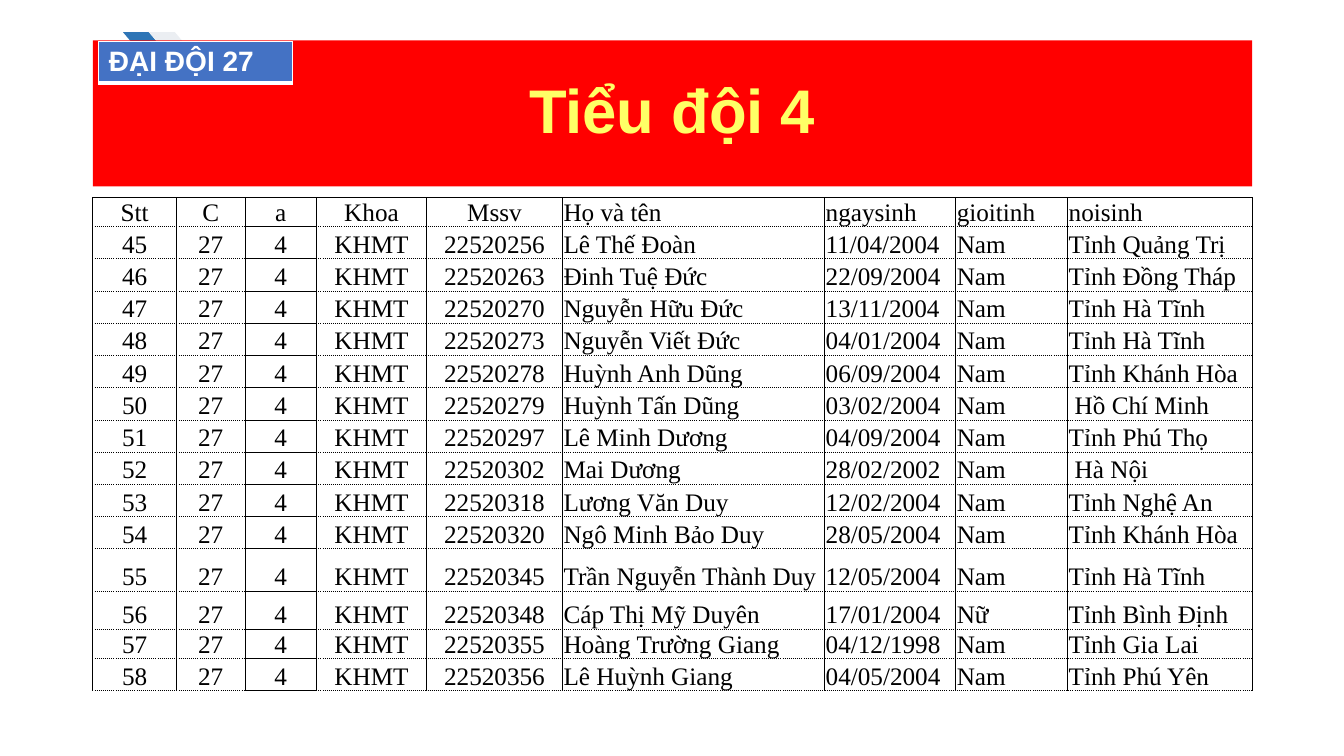
"""Build the roster slide of squad 4, company 27."""
from dataclasses import dataclass

from lxml import etree
from pptx import Presentation
from pptx import util as u
from pptx.dml.color import RGBColor
from pptx.enum import shapes, text
from pptx.oxml import ns
from pptx.slide import Slide
from pptx.table import Table, _Cell
from pptx.text.text import TextFrame

PX = 9144
RED = RGBColor(0xFF, 0x00, 0x00)
YELLOW = RGBColor(0xFF, 0xFF, 0x66)
BLACK = RGBColor(0x00, 0x00, 0x00)
WHITE = RGBColor(0xFF, 0xFF, 0xFF)
LABEL_BLUE = RGBColor(0x44, 0x72, 0xC4)
CHEVRON_BLUE = RGBColor(0x2E, 0x75, 0xB6)
CHEVRON_GRAY = RGBColor(0xEB, 0xEE, 0xF2)
CENTER = text.PP_ALIGN.CENTER
LEFT = text.PP_ALIGN.LEFT


@dataclass(frozen=True)
class Style:
    font: str
    size: int
    color: RGBColor
    bold: bool = False


@dataclass(frozen=True)
class Chevron:
    left: int
    color: RGBColor


@dataclass(frozen=True)
class Column:
    heading: str
    width: int
    align: text.PP_ALIGN


@dataclass(frozen=True)
class Member:
    student_id: str
    name: str
    born: str
    birthplace: str
    gender: str = "Nam"


@dataclass(frozen=True)
class Border:
    side: str
    color: RGBColor
    points: float
    dash: str = "solid"


TITLE_STYLE = Style("Arial", 44, YELLOW, True)
LABEL_STYLE = Style("Arial", 20, WHITE, True)
ROSTER_STYLE = Style("Times New Roman", 18, BLACK)
CHEVRONS = [Chevron(122, CHEVRON_BLUE), Chevron(148, CHEVRON_GRAY)]
SQUAD_COLUMN = 2
FIRST_NUMBER = 45
COLUMNS = [
    Column("Stt", 83, CENTER),
    Column("C", 68, CENTER),
    Column("a", 71, CENTER),
    Column("Khoa", 109, CENTER),
    Column("Mssv", 135, CENTER),
    Column("Họ và tên", 260, LEFT),
    Column("ngaysinh", 130, LEFT),
    Column("gioitinh", 111, LEFT),
    Column("noisinh", 183, LEFT),
]
ROW_HEIGHTS = [28] + [32] * 10 + [42, 38, 29, 32]
MEMBERS = [
    Member("22520256", "Lê Thế Đoàn", "11/04/2004", "Tỉnh Quảng Trị"),
    Member("22520263", "Đinh Tuệ Đức", "22/09/2004", "Tỉnh Đồng Tháp"),
    Member("22520270", "Nguyễn Hữu Đức", "13/11/2004", "Tỉnh Hà Tĩnh"),
    Member("22520273", "Nguyễn Viết Đức", "04/01/2004", "Tỉnh Hà Tĩnh"),
    Member("22520278", "Huỳnh Anh Dũng", "06/09/2004", "Tỉnh Khánh Hòa"),
    Member("22520279", "Huỳnh Tấn Dũng", "03/02/2004", "Hồ Chí Minh"),
    Member("22520297", "Lê Minh Dương", "04/09/2004", "Tỉnh Phú Thọ"),
    Member("22520302", "Mai Dương", "28/02/2002", "Hà Nội"),
    Member("22520318", "Lương Văn Duy", "12/02/2004", "Tỉnh Nghệ An"),
    Member("22520320", "Ngô Minh Bảo Duy", "28/05/2004", "Tỉnh Khánh Hòa"),
    Member("22520345", "Trần Nguyễn Thành Duy", "12/05/2004", "Tỉnh Hà Tĩnh"),
    Member("22520348", "Cáp Thị Mỹ Duyên", "17/01/2004", "Tỉnh Bình Định", "Nữ"),
    Member("22520355", "Hoàng Trường Giang", "04/12/1998", "Tỉnh Gia Lai"),
    Member("22520356", "Lê Huỳnh Giang", "04/05/2004", "Tỉnh Phú Yên"),
]
CITIES = {"Hồ Chí Minh", "Hà Nội"}


def px(length: int) -> u.Emu:
    return u.Emu(length * PX)


def write(frame: TextFrame, words: str, style: Style, align: text.PP_ALIGN) -> None:
    para = frame.paragraphs[0]
    para.alignment = align
    span = para.add_run()
    span.text = words
    span.font.name = style.font
    span.font.size = u.Pt(style.size)
    span.font.bold = style.bold
    span.font.color.rgb = style.color


def set_borders(cell: _Cell, borders: list[Border]) -> None:
    properties = cell._tc.get_or_add_tcPr()
    for index, border in enumerate(borders):
        line = etree.Element(ns.qn(f"a:ln{border.side}"), w=str(u.Pt(border.points)))
        fill = etree.SubElement(line, ns.qn("a:solidFill"))
        etree.SubElement(fill, ns.qn("a:srgbClr"), val=str(border.color))
        etree.SubElement(line, ns.qn("a:prstDash"), val=border.dash)
        properties.insert(index, line)


def roster_borders(row: int, column: int) -> list[Border]:
    below = "solid" if column == SQUAD_COLUMN else "dot"
    above = "solid" if row == 0 else below
    dashes = {"L": "solid", "R": "solid", "T": above, "B": below}
    return [Border(side, BLACK, 0.5, dash) for side, dash in dashes.items()]


def add_plain_table(page: Slide, left: int, top: int, widths: list[int], heights: list[int]) -> Table:
    table = page.shapes.add_table(
        len(heights), len(widths), px(left), px(top), px(sum(widths)), px(sum(heights))
    ).table
    table.first_row = table.horz_banding = False
    for column, width in zip(table.columns, widths):
        column.width = px(width)
    for row, height in zip(table.rows, heights):
        row.height = px(height)
    return table


def add_title(page: Slide) -> None:
    title = page.shapes.title
    title.left, title.top, title.width, title.height = px(92), px(40), px(1150), px(145)
    title.fill.solid()
    title.fill.fore_color.rgb = RED
    title.text_frame.vertical_anchor = text.MSO_ANCHOR.MIDDLE
    title.text_frame.word_wrap = True
    title.text_frame.paragraphs[0].line_spacing = 0.9
    write(title.text_frame, "Tiểu đội 4", TITLE_STYLE, CENTER)


def add_chevron(page: Slide, chevron: Chevron) -> None:
    shape = page.shapes.add_shape(
        shapes.MSO_SHAPE.CHEVRON, px(chevron.left), px(32), px(51), px(60)
    )
    shape.shadow.inherit = False
    shape.fill.solid()
    shape.fill.fore_color.rgb = chevron.color
    shape.line.fill.background()
    page.shapes.title.element.addprevious(shape.element)


def add_roster(page: Slide) -> None:
    table = add_plain_table(page, 92, 196, [column.width for column in COLUMNS], ROW_HEIGHTS)
    rows = [[column.heading for column in COLUMNS]]
    for number, member in enumerate(MEMBERS, FIRST_NUMBER):
        rows.append([str(number), "27", "4", "KHMT", member.student_id, member.name,
                     member.born, member.gender, member.birthplace])
    for r, row in enumerate(rows):
        for c, words in enumerate(row):
            cell = table.cell(r, c)
            cell.margin_left = px(7 if words in CITIES else 1)
            cell.margin_top = cell.margin_right = px(1)
            cell.margin_bottom = 0
            cell.vertical_anchor = text.MSO_ANCHOR.BOTTOM
            cell.fill.background()
            set_borders(cell, roster_borders(r, c))
            write(cell.text_frame, words, ROSTER_STYLE, COLUMNS[c].align)


def add_company_label(page: Slide) -> None:
    cell = add_plain_table(page, 98, 41, [192], [41]).cell(0, 0)
    cell.fill.solid()
    cell.fill.fore_color.rgb = LABEL_BLUE
    set_borders(cell, [Border(side, WHITE, 3 if side == "B" else 1) for side in "LRTB"])
    write(cell.text_frame, "ĐẠI ĐỘI 27", LABEL_STYLE, LEFT)


def main() -> None:
    deck = Presentation()
    deck.slide_width, deck.slide_height = px(1333), px(750)
    page = deck.slides.add_slide(deck.slide_layouts[5])
    add_title(page)
    for chevron in CHEVRONS:
        add_chevron(page, chevron)
    add_roster(page)
    add_company_label(page)
    deck.save("out.pptx")


if __name__ == "__main__":
    main()
